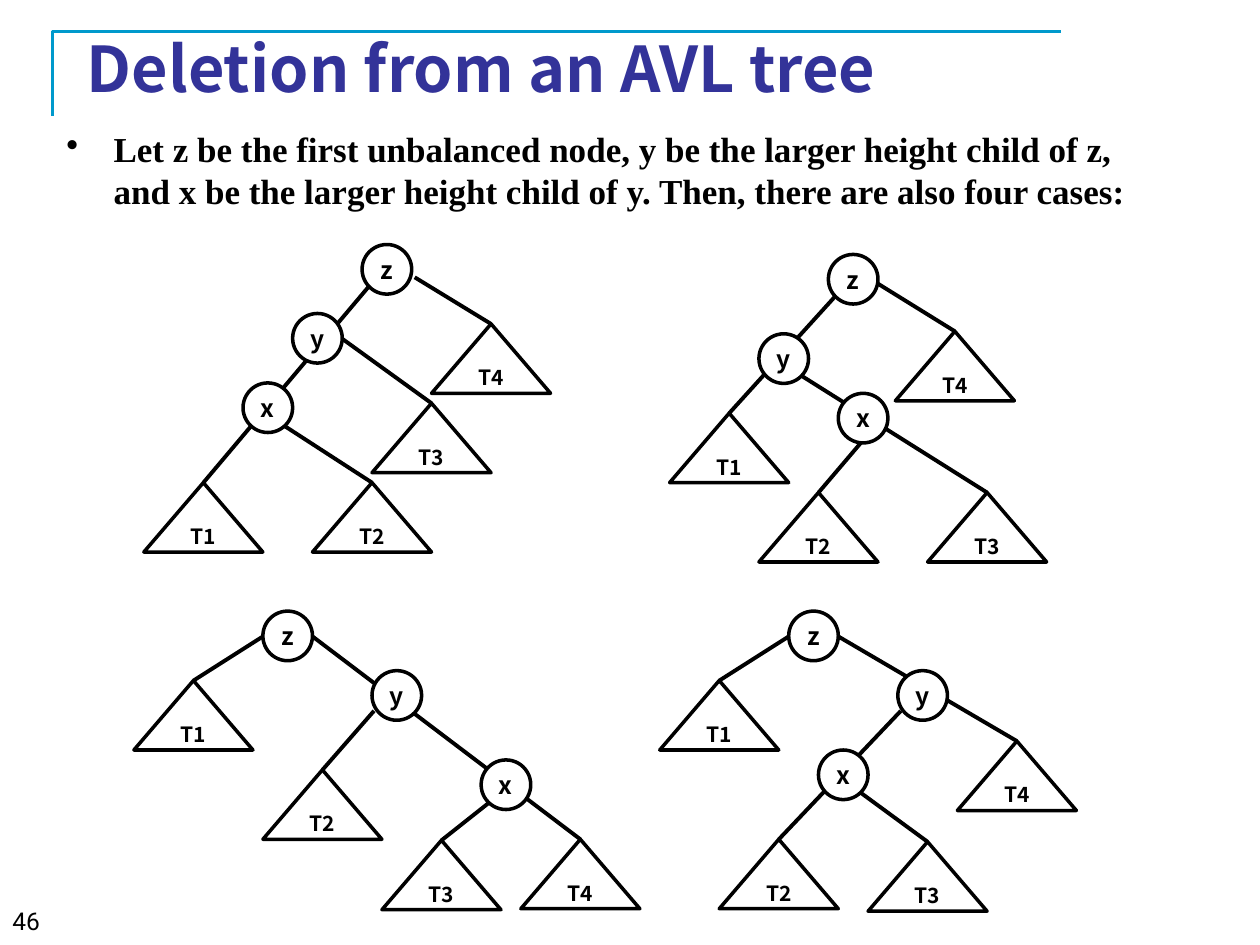
"""Build the slide with the four unbalanced cases of AVL tree deletion."""
import pptx
import pptx.util
import pptx.dml.color
import pptx.enum.shapes
import pptx.enum.text
import pptx.oxml.ns
from lxml import etree

Cm, Pt = pptx.util.Cm, pptx.util.Pt
SHAPE = pptx.enum.shapes.MSO_SHAPE
ALIGN = pptx.enum.text.PP_ALIGN
ANCHOR = pptx.enum.text.MSO_ANCHOR
qn = pptx.oxml.ns.qn

COLORS = {"frame": "0099CC", "title": "333399", "ink": "000000", "paper": "FFFFFF"}
RGB = {k: pptx.dml.color.RGBColor.from_string(v) for k, v in COLORS.items()}

FONTS = {
    "title": {"name": "Noto Sans CJK KR", "size": Pt(36), "bold": True},
    "body": {"name": "Times New Roman", "size": Pt(20), "bold": True},
    "number": {"name": "Roboto", "size": Pt(14)},
    "node": {"name": "Noto Sans CJK KR", "size": Pt(14), "bold": True},
    "subtree": {"name": "Noto Sans CJK KR", "size": Pt(12), "bold": True},
}

TEXTS = [
    ("number", "46", (0, 18.14, 7.92, 0.91), "ink", ALIGN.LEFT, ANCHOR.TOP),
    ("title", "Deletion from an AVL tree", (1.5, 0.76, 21.59, 1.19), "title",
     ALIGN.JUSTIFY, ANCHOR.MIDDLE),
    ("body", "Let z be the first unbalanced node, y be the larger height child of z, "
     "and x be the larger height child of y. Then, there are also four cases:",
     (1.09, 2.45, 22.25, 1.96), "ink", ALIGN.LEFT, ANCHOR.TOP),
]

TREES = [
    {"nodes": {"z": (7.3, 4.93), "y": (5.9, 6.32), "x": (4.9, 7.72)},
     "subtrees": {"T1": (2.9, 9.73), "T2": (6.3, 9.73), "T3": (7.5, 8.13), "T4": (8.7, 6.53)},
     "starts": [(7.44, 5.77), (5.74, 8.59), (6.9, 6.83), (8.36, 5.59)]},
    {"nodes": {"z": (16.7, 5.13), "y": (15.3, 6.73), "x": (16.9, 7.93)},
     "subtrees": {"T1": (13.5, 8.33), "T2": (15.3, 9.93), "T3": (18.7, 9.93), "T4": (18.05, 6.68)},
     "starts": [(16.84, 5.97), (17.36, 8.92), (16.15, 7.57), (17.7, 5.72)]},
    {"nodes": {"z": (5.3, 12.32), "y": (7.5, 13.52), "x": (9.7, 15.32)},
     "subtrees": {"T1": (2.7, 13.72), "T2": (5.3, 15.52), "T3": (7.7, 16.94), "T4": (10.5, 16.92)},
     "starts": [(5.3, 12.83), (7.54, 14.33), (9.86, 16.18), (6.3, 12.83)]},
    {"nodes": {"z": (15.9, 12.32), "y": (18.1, 13.52), "x": (16.5, 15.12)},
     "subtrees": {"T1": (13.3, 13.72), "T2": (14.5, 16.92), "T3": (17.5, 16.97), "T4": (19.3, 14.94)},
     "starts": [(15.9, 12.83), (18.16, 14.33), (17.35, 15.98), (16.9, 12.83)]},
]


def write(sp, text, style, color, align, anchor, wrap):
    tf = sp.text_frame
    tf.word_wrap = wrap
    tf.vertical_anchor = anchor
    p = tf.paragraphs[0]
    p.alignment = align
    r = p.add_run()
    r.text = text
    for key, value in FONTS[style].items():
        setattr(r.font, key, value)
    r.font.color.rgb = RGB[color]
    return p


def add_labelled(kind, text, at, size, style, anchor):
    sp = s.shapes.add_shape(kind, *map(Cm, at + size))
    sp.shadow.inherit = False
    sp.fill.solid()
    sp.fill.fore_color.rgb = RGB["paper"]
    sp.line.color.rgb = RGB["ink"]
    sp.line.width = Pt(2)
    write(sp, text, style, "ink", ALIGN.CENTER, anchor, False)
    return sp


prs = pptx.Presentation()
prs.slide_width, prs.slide_height = Cm(25.4), Cm(19.05)
s = prs.slides.add_slide(prs.slide_layouts[6])

fb = s.shapes.build_freeform(Cm(1.06), Cm(2.33))
fb.add_line_segments([(Cm(1.06), Cm(0.63)), (Cm(21.38), Cm(0.63))], close=False)
frame = fb.convert_to_shape()
frame.shadow.inherit = False
frame.fill.background()
frame.line.color.rgb = RGB["frame"]
frame.line.width = Pt(1.5)

for style, text, box, color, align, anchor in TEXTS:
    sp = s.shapes.add_textbox(*map(Cm, box))
    p = write(sp, text, style, color, align, anchor, True)
    if style == "body":
        pPr = p._p.get_or_add_pPr()
        pPr.set("marL", str(Cm(0.95)))
        pPr.set("indent", str(-Cm(0.95)))
        etree.SubElement(pPr, qn("a:buChar")).set("char", "•")

for tree in TREES:
    for (name, at), start in zip(tree["subtrees"].items(), tree["starts"]):
        sp = add_labelled(SHAPE.ISOSCELES_TRIANGLE, name, at, (2.4, 1.4), "subtree", ANCHOR.TOP)
        apex = (at[0] + 1.2, at[1])
        edge = s.shapes.add_connector(pptx.enum.shapes.MSO_CONNECTOR.STRAIGHT,
                                      *map(Cm, start + apex))
        edge.end_connect(sp, 0)
        edge.line.color.rgb = RGB["ink"]
        edge.line.width = Pt(2.25)
        etree.SubElement(edge._element.spPr, qn("a:effectLst"))
    for name, at in tree["nodes"].items():
        add_labelled(SHAPE.OVAL, name, at, (1, 1), "node", ANCHOR.MIDDLE)

prs.save("out.pptx")
